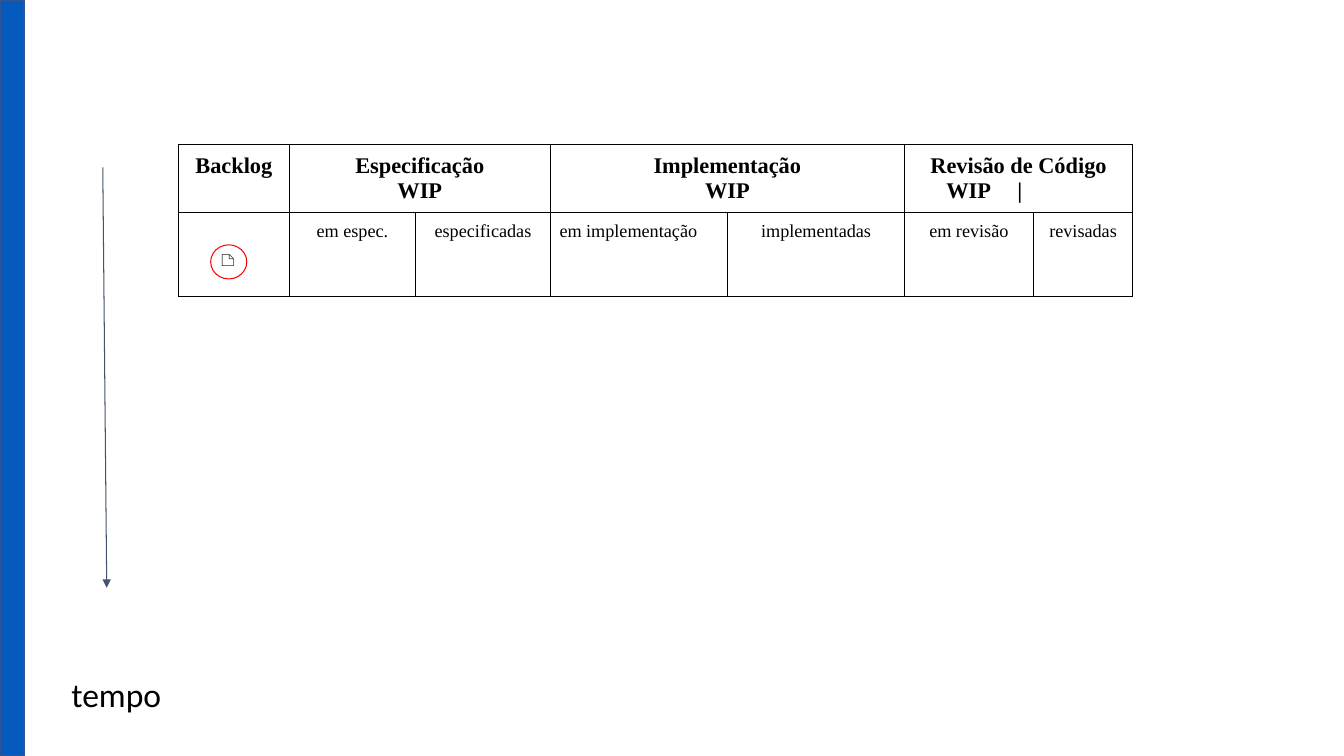
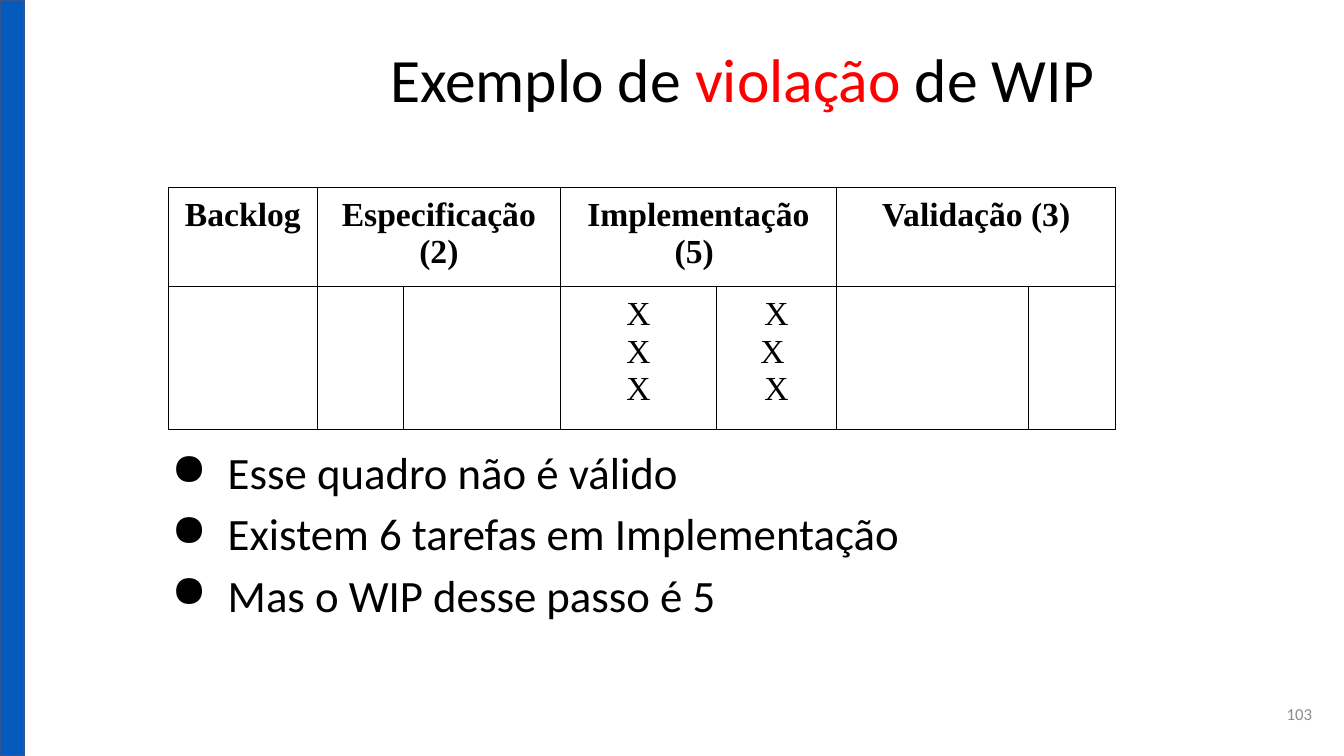
import pptx
import pptx.dml.color
import pptx.enum.shapes
import pptx.enum.text
import pptx.oxml
import pptx.oxml.ns
import pptx.util

Cm = pptx.util.Cm
Pt = pptx.util.Pt
ALIGN = pptx.enum.text.PP_ALIGN
ANCHOR = pptx.enum.text.MSO_ANCHOR
SHAPE = pptx.enum.shapes.MSO_SHAPE

BLUE, BAND_EDGE, SLATE = "045ABD", "325491", "44546A"
BLACK, RED, GRAY = "000000", "FF0000", "8C8C8C"
SANS, SERIF = "Calibri", "Times New Roman"
BOX_MARGIN = (0.33, 0.33, 0.33, 0.33)
CELL_MARGIN = (0.23, 0.23, 0.23, 0.23)

FLOW_BOARD = {
    "place": (4.5, 3.63),
    "columns": (2.79, 3.18, 3.4, 4.47, 4.45, 3.25, 2.51),
    "rows": (1.7, 2.13),
    "header": [
        (["Backlog"], 1, {}),
        (["Especificação", "WIP"], 2, {}),
        (["Implementação", "WIP"], 2, {}),
        (["Revisão de Código", "\tWIP\t|"], 2, {"tabs": (0.83, 2.62)}),
    ],
    "body": [
        (["🗅"], {"size": 16, "bold": True, "align": ALIGN.LEFT,
                 "margin": (1.05, 0.86, 0, 0)}),
        (["em espec."], {}),
        (["especificadas"], {}),
        (["em implementação"], {"align": ALIGN.LEFT}),
        (["implementadas"], {}),
        (["em revisão"], {}),
        (["revisadas"], {}),
    ],
    "sizes": (16, 13),
}
VIOLATION_BOARD = {
    "place": (4.24, 4.72),
    "columns": (3.76, 2.18, 3.94, 3.94, 3.02, 4.83, 2.21),
    "rows": (2.51, 3.58),
    "header": [
        (["Backlog"], 1, {}),
        (["Especificação (2)"], 2, {}),
        (["Implementação (5) "], 2, {}),
        (["Validação (3)"], 2, {}),
    ],
    "body": [
        ([], {}), ([], {}), ([], {}),
        (["X", "X", "X"], {}),
        (["X", "X ", "X"], {}),
        ([], {}), ([], {}),
    ],
    "sizes": (24, 24),
}
TITLE = [("Exemplo de ", BLACK), ("violação", RED), (" de WIP", BLACK)]
CONCLUSIONS = [
    "Esse quadro não é válido",
    "Existem 6 tarefas em Implementação",
    "Mas o WIP desse passo é 5",
]


def rgb(value):
    return pptx.dml.color.RGBColor.from_string(value)


def make_xml(tag, content="", **attributes):
    listed = " ".join(f'{name}="{value}"' for name, value in attributes.items())
    return pptx.oxml.parse_xml(
        f'<a:{tag} {pptx.oxml.ns.nsdecls("a")} {listed}>{content}</a:{tag}>')


def write_text(holder, paragraphs, size=13, font=SANS, color=BLACK, bold=False,
               align=ALIGN.LEFT, spacing=None, bullet=None, tabs=()):
    frame = holder.text_frame
    for index, content in enumerate(paragraphs):
        para = frame.paragraphs[0] if index == 0 else frame.add_paragraph()
        has_tabs = isinstance(content, str) and "\t" in content
        para.alignment = ALIGN.LEFT if has_tabs else align
        if spacing:
            para.line_spacing = spacing
        properties = para._p.get_or_add_pPr()
        if bullet:
            properties.set("marL", str(Cm(1.7)))
            properties.set("indent", str(Cm(-1.42)))
            properties.append(make_xml("buChar", char=bullet))
        if has_tabs:
            stops = "".join(f'<a:tab pos="{Cm(stop)}" algn="l"/>' for stop in tabs)
            properties.append(make_xml("tabLst", stops))
        spans = [(content, color)] if isinstance(content, str) else content
        for text, span_color in spans:
            span = para.add_run()
            span.text = text
            span.font.size = Pt(size)
            span.font.name = font
            span.font.bold = bold
            span.font.color.rgb = rgb(span_color)


def set_margins(holder, margin):
    (holder.margin_left, holder.margin_top,
     holder.margin_right, holder.margin_bottom) = map(Cm, margin)


def prepare_frame(box, anchor=ANCHOR.TOP, wrap=True):
    frame = box.text_frame
    set_margins(frame, BOX_MARGIN)
    frame.auto_size = pptx.enum.text.MSO_AUTO_SIZE.NONE
    frame.vertical_anchor = anchor
    frame.word_wrap = wrap


def add_text(page, place, paragraphs, anchor=ANCHOR.TOP, wrap=True, **style):
    box = page.shapes.add_textbox(*map(Cm, place))
    prepare_frame(box, anchor, wrap)
    write_text(box, paragraphs, **style)


def add_outline(page, kind, place, edge, weight, fill=None):
    shape = page.shapes.add_shape(kind, *map(Cm, place))
    shape.shadow.inherit = False
    if fill:
        shape.fill.solid()
        shape.fill.fore_color.rgb = rgb(fill)
    else:
        shape.fill.background()
    shape.line.color.rgb = rgb(edge)
    shape.line.width = Pt(weight)
    return shape


def add_arrow(page, start, end):
    arrow = page.shapes.add_connector(
        pptx.enum.shapes.MSO_CONNECTOR.STRAIGHT, *map(Cm, start + end))
    arrow.line.color.rgb = rgb(SLATE)
    arrow.line.width = Pt(0.75)
    arrow.line._get_or_add_ln().append(make_xml("tailEnd", type="triangle"))
    arrow._element.spPr.append(make_xml("effectLst"))


def frame_cell(cell):
    cell.fill.background()
    set_margins(cell, CELL_MARGIN)
    properties = cell._tc.get_or_add_tcPr()
    stroke = f'<a:solidFill><a:srgbClr val="{BLACK}"/></a:solidFill>'
    for position, side in enumerate(("lnL", "lnR", "lnT", "lnB")):
        properties.insert(position, make_xml(side, stroke, w=Pt(0.75)))


def add_board(page, board):
    columns, rows = board["columns"], board["rows"]
    place = (*board["place"], sum(columns), sum(rows))
    table = page.shapes.add_table(len(rows), len(columns), *map(Cm, place)).table
    table.first_row = False
    table.horz_banding = False
    for column, width in zip(table.columns, columns):
        column.width = Cm(width)
    for row, height in zip(table.rows, rows):
        row.height = Cm(height)
    for cell in table.iter_cells():
        frame_cell(cell)
    header_size, body_size = board["sizes"]
    first = 0
    for lines, span, style in board["header"]:
        cell = table.cell(0, first)
        if span > 1:
            cell.merge(table.cell(0, first + span - 1))
        write_text(cell, lines, size=header_size, font=SERIF, bold=True,
                   align=ALIGN.CENTER, **style)
        first += span
    for index, (lines, style) in enumerate(board["body"]):
        cell = table.cell(1, index)
        merged = {"size": body_size, "align": ALIGN.CENTER, **style}
        set_margins(cell, merged.pop("margin", CELL_MARGIN))
        write_text(cell, lines, font=SERIF, **merged)


def add_master_band(deck, page):
    band = add_outline(page, SHAPE.RECTANGLE, (0, 0, 0.61, 19.05),
                       BAND_EDGE, 1, BLUE)
    deck.slide_master.shapes.element.insert(2, band.element)


def build_flow_page(page):
    add_board(page, FLOW_BOARD)
    add_outline(page, SHAPE.OVAL, (5.31, 6.17, 0.91, 0.86), RED, 0.75)
    add_arrow(page, (2.59, 4.22), (2.69, 14.81))
    add_text(page, (1.47, 16.64, 3, 1.4), ["tempo"], wrap=False, size=24)


def build_violation_page(page):
    title = page.shapes.title
    title.left, title.top, title.width, title.height = map(
        Cm, (9.5, 0.91, 23.9, 2.13))
    prepare_frame(title)
    write_text(title, [TITLE], size=44, spacing=0.9)
    add_text(page, (31.37, 17.27, 2.03, 1.45), ["103"], anchor=ANCHOR.MIDDLE,
             size=12, color=GRAY, align=ALIGN.RIGHT)
    add_board(page, VIOLATION_BOARD)
    add_text(page, (3.71, 10.69, 28, 5.4), CONCLUSIONS, size=32,
             spacing=1.14, bullet="●")


def main():
    deck = pptx.Presentation()
    deck.slide_width, deck.slide_height = Cm(33.87), Cm(19.05)
    title_only, blank = deck.slide_layouts[5], deck.slide_layouts[6]
    flow_page = deck.slides.add_slide(blank)
    add_master_band(deck, flow_page)
    build_flow_page(flow_page)
    build_violation_page(deck.slides.add_slide(title_only))
    deck.save("out.pptx")


if __name__ == "__main__":
    main()
